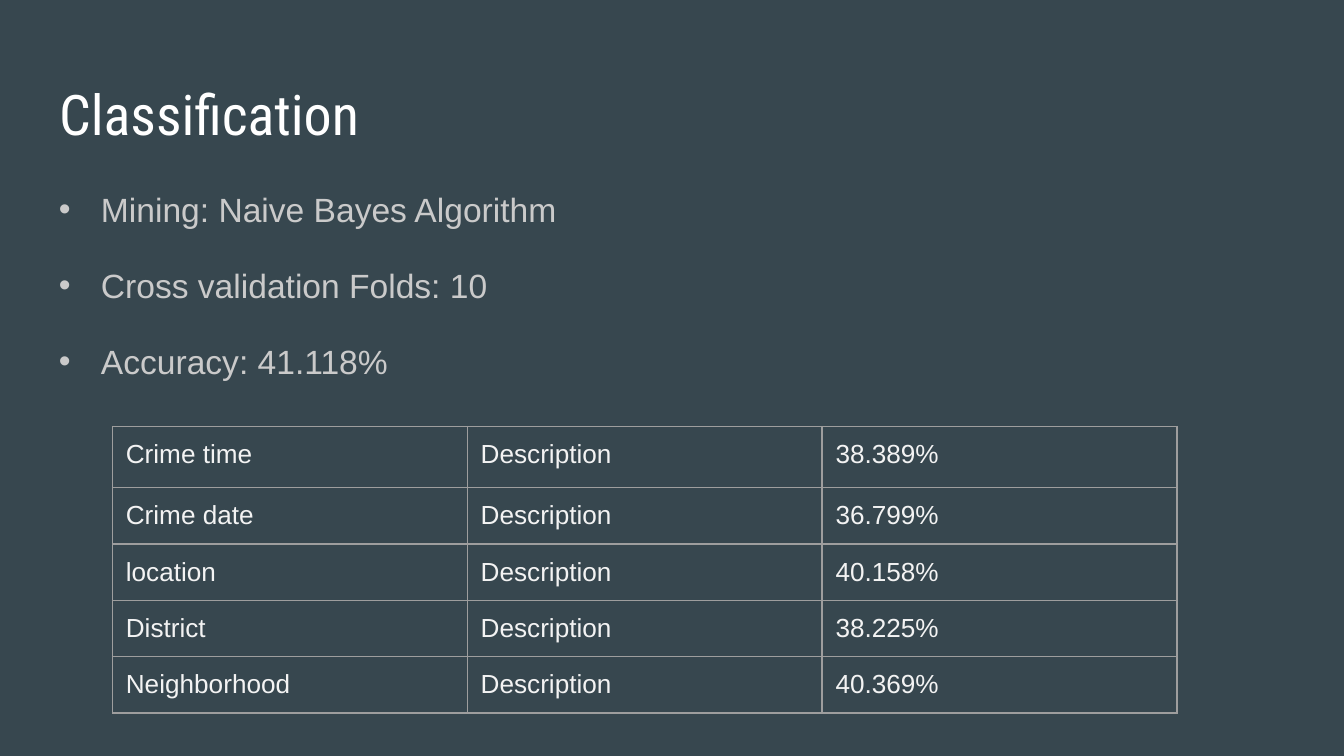
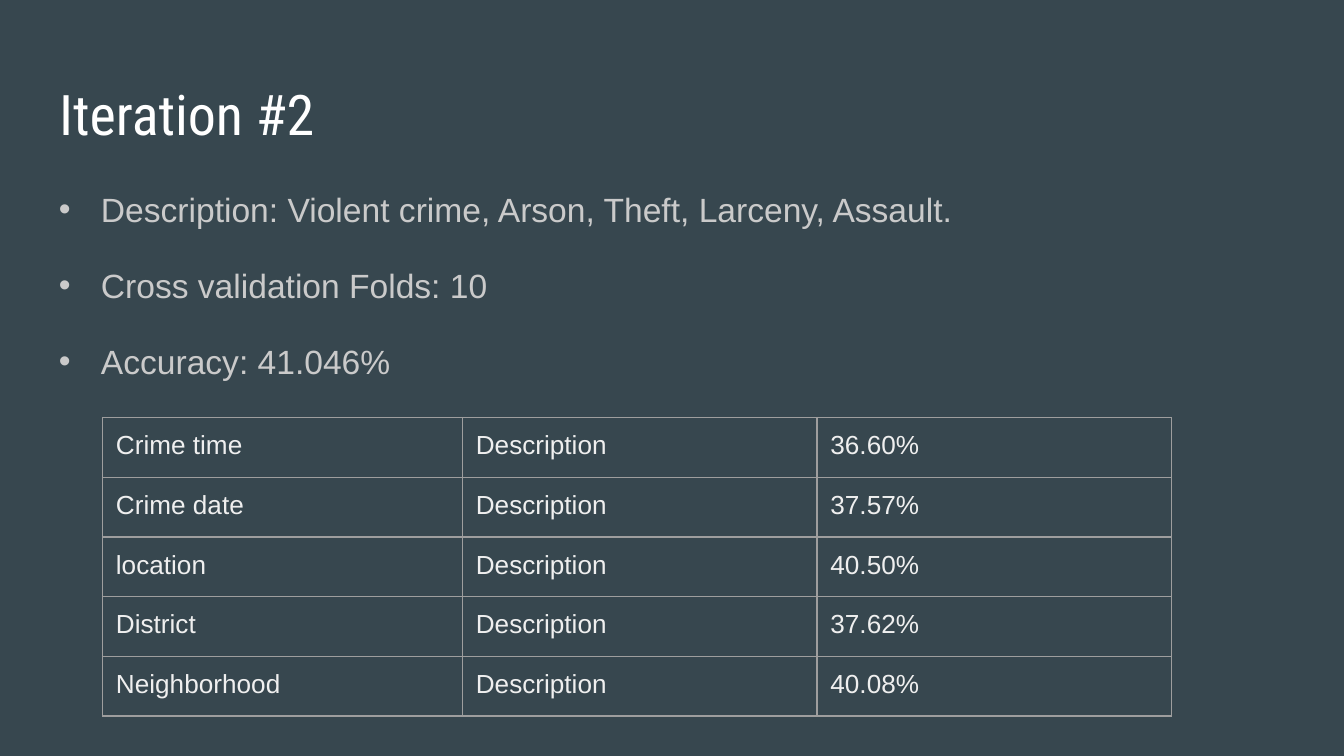
"""Build two slides on crime classification results."""
import pptx
import pptx.dml.color
import pptx.enum.text
import pptx.oxml
import pptx.oxml.ns
import pptx.util

Pt = pptx.util.Pt
RGBColor = pptx.dml.color.RGBColor

BACKGROUND = RGBColor(0x37, 0x47, 0x4F)
TITLE_COLOR = RGBColor(0xFF, 0xFF, 0xFF)
BODY_COLOR = RGBColor(0xCA, 0xCA, 0xCA)
BORDER_COLOR = RGBColor(0x9E, 0x9E, 0x9E)
TITLE_FONT, BODY_FONT = "Roboto Condensed", "Arial"
INSET = Pt(7.2)
INDENT = Pt(22.5)
TITLE_BOX = (24.5, 35.4, 671, 45.1)
BODY_BOX = (24.5, 90.7, 671, 269)

ATTRIBUTES = ["Crime time", "Crime date", "location", "District", "Neighborhood"]
TARGET = "Description"
SLIDES = [
    {
        "title": "Classification \t",
        "bullets": ["Mining: Naive Bayes Algorithm", "Cross validation Folds: 10",
                    "Accuracy: 41.118%"],
        "results": ["38.389%", "36.799%", "40.158%", "38.225%", "40.369%"],
        "origin": (60.2, 228.5),
        "columns": [190.1] * 3,
        "rows": [32.8] + [30.15] * 4,
        "color": RGBColor(0xF3, 0xF3, 0xF3),
    },
    {
        "title": "Iteration #2",
        "bullets": ["Description: Violent crime, Arson, Theft, Larceny, Assault.",
                    "Cross validation Folds: 10", "Accuracy: 41.046%"],
        "results": ["36.60%", "37.57%", "40.50%", "37.62%", "40.08%"],
        "origin": (54.9, 223.7),
        "columns": [192.8, 190, 190],
        "rows": [32] * 5,
        "color": RGBColor(0xEF, 0xEF, 0xEF),
    },
]


def add_run(paragraph, text, font, size, color):
    run = paragraph.add_run()
    run.text = text
    run.font.name, run.font.size = font, Pt(size)
    run.font.color.rgb = color


def set_insets(holder):
    holder.margin_left = holder.margin_right = INSET
    holder.margin_top = holder.margin_bottom = INSET


def prepare_frame(shape):
    frame = shape.text_frame
    frame.word_wrap = True
    frame.auto_size = pptx.enum.text.MSO_AUTO_SIZE.NONE
    frame.vertical_anchor = pptx.enum.text.MSO_ANCHOR.TOP
    set_insets(frame)
    return frame


def append_xml(parent, tag, content, attributes=""):
    namespace = pptx.oxml.ns.nsdecls("a")
    parent.append(pptx.oxml.parse_xml(
        f"<a:{tag} {namespace} {attributes}>{content}</a:{tag}>"))


def add_title(slide, text):
    title = slide.shapes.title
    title.left, title.top, title.width, title.height = map(Pt, TITLE_BOX)
    paragraph = prepare_frame(title).paragraphs[0]
    paragraph.alignment = pptx.enum.text.PP_ALIGN.LEFT
    add_run(paragraph, text, TITLE_FONT, 30, TITLE_COLOR)


def add_bullets(slide, bullets):
    frame = prepare_frame(slide.shapes.add_textbox(*map(Pt, BODY_BOX)))
    for index, text in enumerate(bullets):
        paragraph = frame.add_paragraph() if index else frame.paragraphs[0]
        paragraph.line_spacing = 1.15
        paragraph.space_after = Pt(16)
        properties = paragraph._p.get_or_add_pPr()
        properties.set("marL", str(INDENT))
        properties.set("indent", str(-INDENT))
        append_xml(properties, "buClr", f'<a:srgbClr val="{BODY_COLOR}"/>')
        append_xml(properties, "buFont", "", f'typeface="{BODY_FONT}"')
        append_xml(properties, "buChar", "", 'char="•"')
        add_run(paragraph, text, BODY_FONT, 18, BODY_COLOR)


def format_cell(cell, text, color):
    set_insets(cell)
    add_run(cell.text_frame.paragraphs[0], text, BODY_FONT, 14, color)
    properties = cell._tc.get_or_add_tcPr()
    for side in ("lnL", "lnR", "lnT", "lnB"):
        append_xml(properties, side,
                   f'<a:solidFill><a:srgbClr val="{BORDER_COLOR}"/></a:solidFill>',
                   f'w="{Pt(0.75)}"')
    cell.fill.background()


def add_results(slide, content):
    columns, rows = content["columns"], content["rows"]
    left, top = content["origin"]
    table = slide.shapes.add_table(
        len(rows), len(columns), Pt(left), Pt(top), Pt(sum(columns)), Pt(sum(rows))).table
    table.first_row = table.horz_banding = False
    for column, width in zip(table.columns, columns):
        column.width = Pt(width)
    for row, height, attribute, result in zip(
            table.rows, rows, ATTRIBUTES, content["results"]):
        row.height = Pt(height)
        for cell, text in zip(row.cells, (attribute, TARGET, result)):
            format_cell(cell, text, content["color"])


def main():
    presentation = pptx.Presentation()
    presentation.slide_width, presentation.slide_height = Pt(720), Pt(405)
    layout = presentation.slide_layouts.get_by_name("Title Only")
    background = presentation.slide_master.background.fill
    background.solid()
    background.fore_color.rgb = BACKGROUND
    for content in SLIDES:
        slide = presentation.slides.add_slide(layout)
        add_title(slide, content["title"])
        add_bullets(slide, content["bullets"])
        add_results(slide, content)
    presentation.save("out.pptx")


if __name__ == "__main__":
    main()
